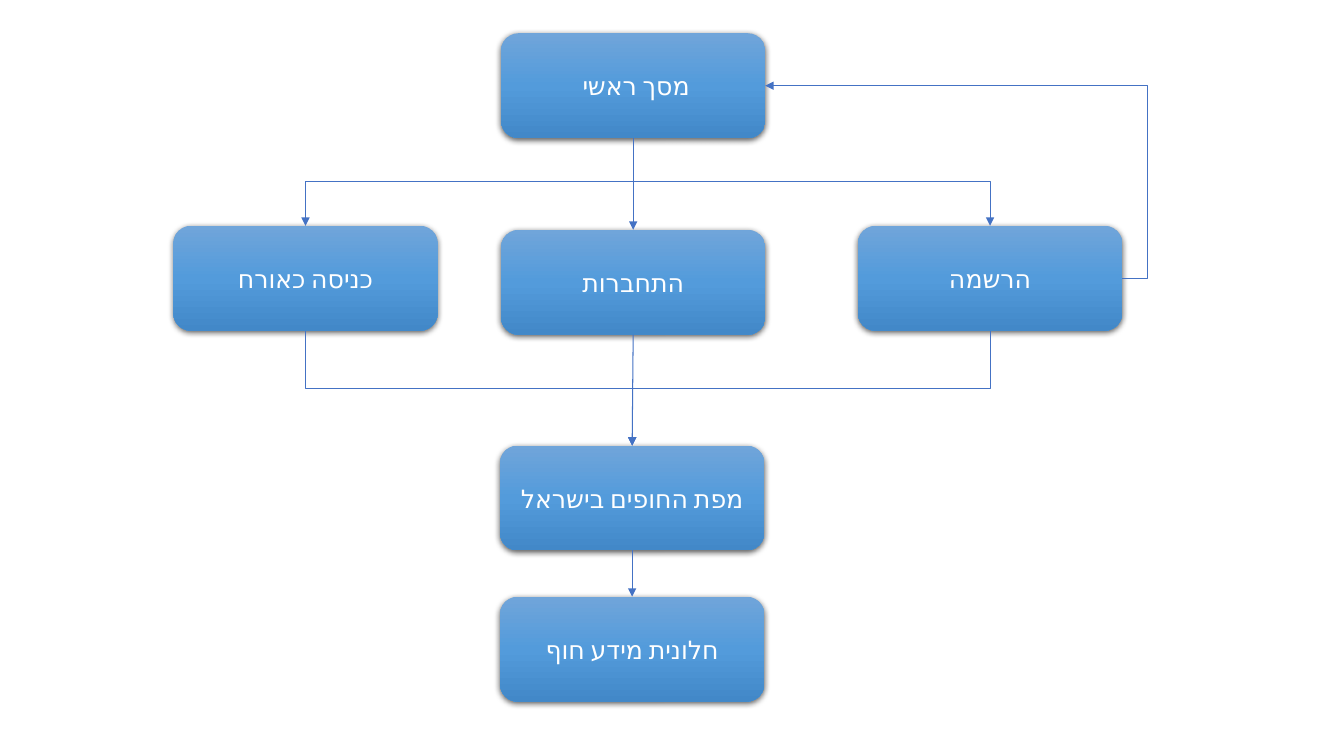
from dataclasses import dataclass
from copy import deepcopy

from lxml.etree import SubElement
from pptx import Presentation
from pptx.dml.color import RGBColor
from pptx.enum.lang import MSO_LANGUAGE_ID as Language
from pptx.enum.shapes import MSO_CONNECTOR as Connector, MSO_SHAPE as Shape
from pptx.enum.text import MSO_ANCHOR as Anchor, PP_ALIGN as Align
from pptx.oxml.ns import qn
from pptx.util import Inches, Pt


@dataclass(frozen=True)
class Theme:
    font: str = "Calibri"
    text_size: float = 18
    text_color: str = "FFFFFF"
    gradient: tuple = ((0, "70A5DA"), (0.5, "539BDB"), (1, "4288C8"))
    shadow_color: str = "000000"
    line_color: str = "4472C4"
    line_width: float = 0.75


THEME = Theme()
BOX_WIDTH, BOX_HEIGHT = 2.62, 1.04
TOP, LEFT, BOTTOM, RIGHT = range(4)


def write_text(shape, text, *, size, color, font, align=Align.CENTER, anchor=Anchor.MIDDLE):
    frame = shape.text_frame
    frame.word_wrap = True
    frame.vertical_anchor = anchor
    para = frame.paragraphs[0]
    para.alignment = align
    para._p.get_or_add_pPr().set("rtl", "1")
    span = para.add_run()
    span.text = text
    span.font.size = Pt(size)
    span.font.name = font
    span.font.color.rgb = RGBColor.from_string(color)
    span.font.language_id = Language.HEBREW
    SubElement(span.font._element, qn("a:cs"), typeface=font)


def fill_gradient(shape, stops):
    shape.fill.gradient()
    shape.fill.gradient_angle = 270
    stop_list = shape.fill._xPr.find(qn("a:gradFill")).find(qn("a:gsLst"))
    while len(stop_list) < len(stops):
        stop_list.append(deepcopy(stop_list[0]))
    for stop, (position, color) in zip(shape.fill.gradient_stops, stops):
        stop.position = position
        stop.color.rgb = RGBColor.from_string(color)


def add_shadow(shape, color):
    shape.shadow.inherit = False
    effects = shape._element.spPr.find(qn("a:effectLst"))
    shadow = SubElement(
        effects, qn("a:outerShdw"), blurRad=str(Pt(4.5)), dist=str(Pt(1.5)),
        dir="5400000", algn="ctr", rotWithShape="0",
    )
    shade = SubElement(shadow, qn("a:srgbClr"), val=color)
    SubElement(shade, qn("a:alpha"), val="63000")


def add_box(slide, text, left, top):
    box = slide.shapes.add_shape(
        Shape.ROUNDED_RECTANGLE, Inches(left), Inches(top), Inches(BOX_WIDTH), Inches(BOX_HEIGHT)
    )
    fill_gradient(box, THEME.gradient)
    box.line.fill.background()
    add_shadow(box, THEME.shadow_color)
    write_text(box, text, size=THEME.text_size, color=THEME.text_color, font=THEME.font)
    return box


def add_arrow(slide, start, end, kind=Connector.STRAIGHT, start_site=BOTTOM, end_site=TOP):
    arrow = slide.shapes.add_connector(kind, 0, 0, 0, 0)
    arrow.begin_connect(start, start_site)
    arrow.end_connect(end, end_site)
    arrow.line.color.rgb = RGBColor.from_string(THEME.line_color)
    arrow.line.width = Pt(THEME.line_width)
    SubElement(arrow.line._get_or_add_ln(), qn("a:tailEnd"), type="triangle")
    SubElement(arrow._element.spPr, qn("a:effectLst"))
    return arrow


def turn_elbow(arrow, degrees, mirrored=False):
    if degrees % 180:
        middle_x = arrow.left + arrow.width // 2
        middle_y = arrow.top + arrow.height // 2
        arrow.width, arrow.height = arrow.height, arrow.width
        arrow.left = middle_x - arrow.width // 2
        arrow.top = middle_y - arrow.height // 2
    frame = arrow._element.spPr.find(qn("a:xfrm"))
    frame.set("rot", str(degrees * 60000))
    frame.set("flipH", str(int(mirrored)))
    frame.set("flipV", "0")


def add_branch(slide, start, end):
    arrow = add_arrow(slide, start, end, Connector.ELBOW)
    rightward = end.left > start.left
    turn_elbow(arrow, 270 if rightward else 90, mirrored=rightward)


def add_return(slide, start, end, bend):
    arrow = add_arrow(slide, start, end, Connector.ELBOW, RIGHT, RIGHT)
    turn_elbow(arrow, 180)
    geometry = arrow._element.spPr.find(qn("a:prstGeom"))
    adjustments = geometry.find(qn("a:avLst"))
    if adjustments is None:
        adjustments = SubElement(geometry, qn("a:avLst"))
    SubElement(adjustments, qn("a:gd"), name="adj1", fmla=f"val {round(bend * 100000)}")


def main():
    deck = Presentation()
    deck.slide_width, deck.slide_height = Inches(13.33), Inches(7.5)
    slide = deck.slides.add_slide(deck.slide_layouts[6])

    home = add_box(slide, "מסך ראשי ", 4.97, 0.33)
    signup = add_box(slide, "הרשמה", 8.51, 2.24)
    login = add_box(slide, "התחברות", 4.97, 2.28)
    guest = add_box(slide, "כניסה כאורח", 1.72, 2.24)
    beach_map = add_box(slide, "מפת החופים בישראל", 4.96, 4.42)
    beach_info = add_box(slide, "חלונית מידע חוף", 4.96, 5.92)

    add_return(slide, signup, home, bend=-0.07)
    for side in (guest, signup):
        add_branch(slide, home, side)
        add_branch(slide, side, beach_map)
    for start, end in ((home, login), (login, beach_map), (beach_map, beach_info)):
        add_arrow(slide, start, end)

    deck.save("out.pptx")


if __name__ == "__main__":
    main()
